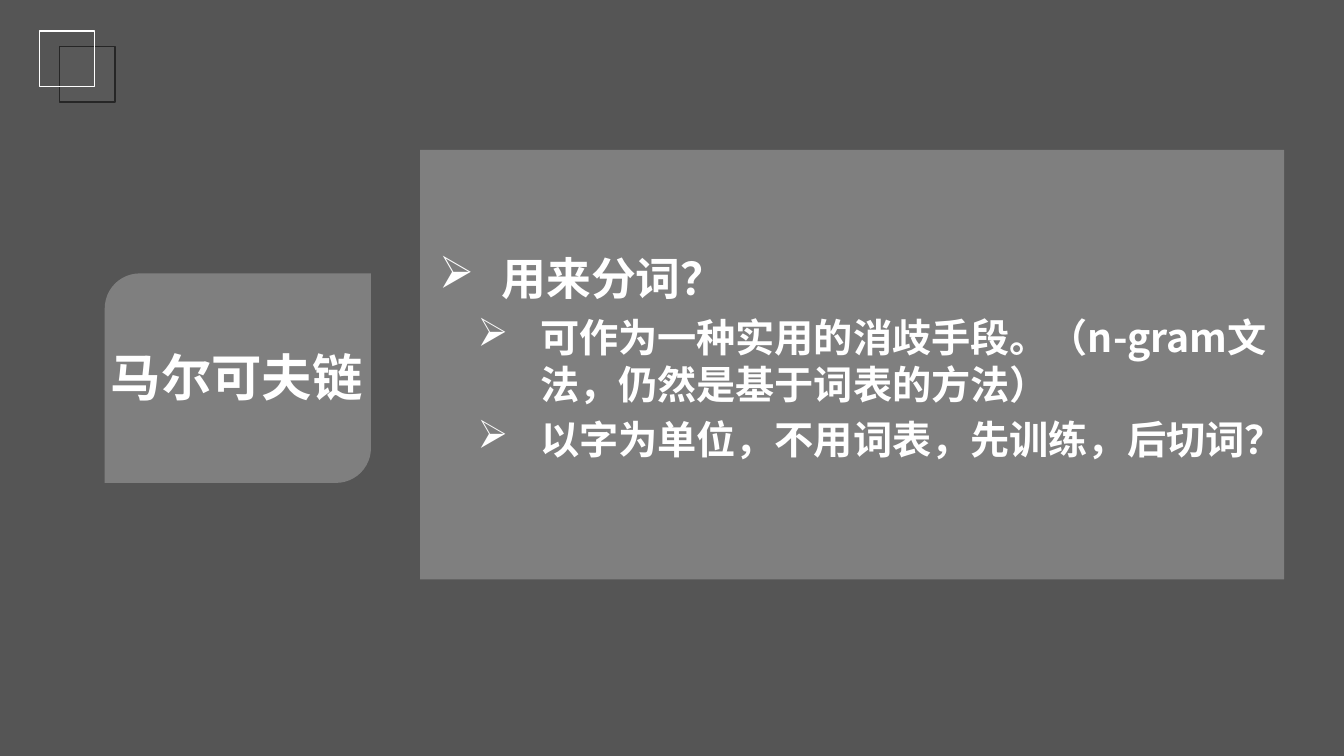
from dataclasses import dataclass

from lxml import etree
from pptx import Presentation
from pptx.dml.color import RGBColor
from pptx.enum.shapes import MSO_SHAPE as Preset
from pptx.enum.text import MSO_ANCHOR as Anchor, PP_ALIGN as Align
from pptx.oxml.ns import qn
from pptx.util import Cm, Pt


@dataclass(frozen=True)
class Theme:
    font: str = "Noto Sans CJK SC"
    bullet_font: str = "Wingdings"
    white: str = "FFFFFF"
    backdrop: str = "0D0D0D"
    square_fill: str = "595959"
    square_line: str = "262626"
    title_size: int = 36
    point_size: int = 32
    subpoint_size: int = 28


theme = Theme()
deck = Presentation()
deck.slide_width, deck.slide_height = Cm(33.87), Cm(19.05)
slide = deck.slides.add_slide(deck.slide_layouts[6])


def add_panel(preset, box, fill=None, opacity=100, line=None):
    """Add a flat shape; box is left, top, width, height in cm."""
    panel = slide.shapes.add_shape(preset, *map(Cm, box))
    panel.shadow.inherit = False
    if fill:
        panel.fill.solid()
        panel.fill.fore_color.rgb = RGBColor.from_string(fill)
        if opacity < 100:
            color = panel.fill._xPr.find(qn("a:solidFill"))[0]
            etree.SubElement(color, qn("a:alpha"), val=str(opacity * 1000))
    else:
        panel.fill.background()
    if line:
        panel.line.color.rgb = RGBColor.from_string(line)
        panel.line.width = Pt(1)
    else:
        panel.line.fill.background()


def write(paragraph, text, size):
    """Put bold white text into the paragraph."""
    run = paragraph.add_run()
    run.text = text
    for name, value in {"size": Pt(size), "bold": True, "name": theme.font}.items():
        setattr(run.font, name, value)
    run.font.color.rgb = RGBColor.from_string(theme.white)
    etree.SubElement(run._r.get_or_add_rPr(), qn("a:ea"), typeface=theme.font)


add_panel(Preset.RECTANGLE, (0, 0, 33.87, 19.05), theme.backdrop, opacity=70)

# Corner ornament
add_panel(Preset.RECTANGLE, (1.5, 1.17, 1.4, 1.4), theme.square_fill, line=theme.square_line)
add_panel(Preset.RECTANGLE, (0.99, 0.78, 1.4, 1.4), line=theme.white)

# Topic
add_panel(Preset.ROUND_2_DIAG_RECTANGLE, (2.64, 6.89, 6.71, 5.28), theme.white, opacity=25)
topic = slide.shapes.add_textbox(Cm(2.64), Cm(8.59), Cm(6.65), Cm(1.22)).text_frame
topic.word_wrap = False
topic.vertical_anchor = Anchor.TOP
topic.margin_left = topic.margin_right = 0
topic.paragraphs[0].alignment = Align.CENTER
write(topic.paragraphs[0], "马尔可夫链", theme.title_size)

# Points
add_panel(Preset.RECTANGLE, (10.59, 3.78, 21.77, 10.82), theme.white, opacity=25)
points = slide.shapes.add_textbox(Cm(10.82), Cm(6.2), Cm(21.77), Cm(7.19)).text_frame
points.word_wrap = True
hanging = Cm(1.57)
outline = [
    (0, "用来分词？"),
    (1, "可作为一种实用的消歧手段。（n-gram文法，仍然是基于词表的方法）"),
    (1, "以字为单位，不用词表，先训练，后切词？"),
]
sizes = (theme.point_size, theme.subpoint_size)
margins = (hanging, Cm(2.54))
for index, (level, text) in enumerate(outline):
    point = points.add_paragraph() if index else points.paragraphs[0]
    point.level = level
    point.space_before = Pt(6)
    write(point, text, sizes[level])
    properties = point._p.get_or_add_pPr()
    properties.set("marL", str(margins[level]))
    properties.set("indent", str(-hanging))
    etree.SubElement(properties, qn("a:buFont"), typeface=theme.bullet_font, charset="2")
    etree.SubElement(properties, qn("a:buChar"), char="Ø")

deck.save("out.pptx")
